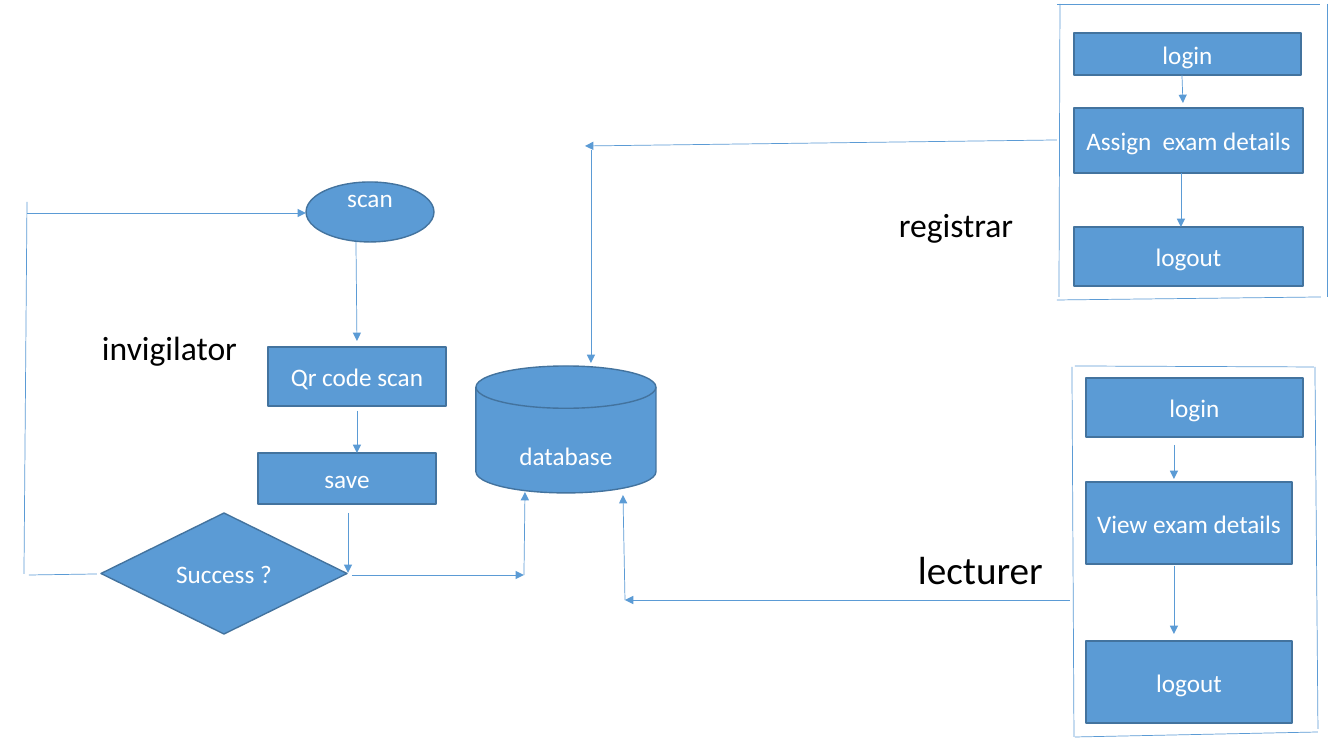
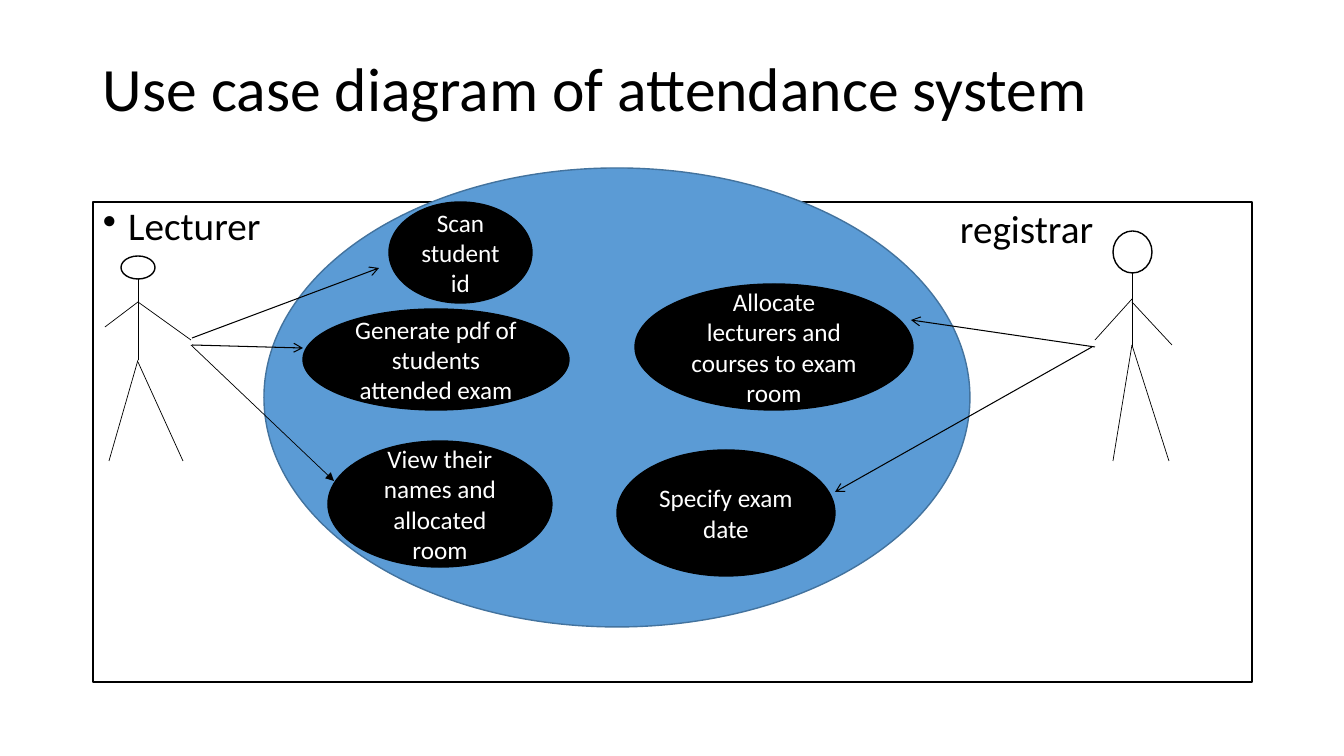
from dataclasses import dataclass

from pptx import Presentation, util as u
from pptx.dml.color import RGBColor
from pptx.enum import shapes, text
from pptx.oxml.xmlchemy import OxmlElement

SHAPE = shapes.MSO_SHAPE
ANCHOR = text.MSO_ANCHOR
ALIGN = text.PP_ALIGN


@dataclass(frozen=True)
class Theme:
    """Colours, font, type sizes and line widths, in points."""
    font: str = "Calibri"
    blue: str = "5B9BD5"
    edge: str = "43739E"
    black: str = "000000"
    white: str = "FFFFFF"
    title: int = 44
    large: int = 28
    medium: int = 24
    body: int = 18
    thin: float = 0.5
    normal: float = 0.75
    outline: float = 1


T = Theme()
SLIDE_SIZE = (1344, 756)
EMU_PER_PX = 914400 / 100.8
INSET = (10, 5, 10, 5)

# Slide 1: kind, box (left, top, width, height), words, insets
FLOW_NODES = [
    (SHAPE.OVAL, (306, 182, 128, 60), "scan", (10, 0, 10, 30)),
    (SHAPE.RECTANGLE, (268, 347, 178, 59), "Qr code scan", INSET),
    (SHAPE.RECTANGLE, (258, 453, 178, 51), "save", INSET),
    (SHAPE.DIAMOND, (101, 513, 246, 121), "Success ?", INSET),
    (SHAPE.FLOWCHART_MAGNETIC_DISK, (476, 366, 180, 127), "database",
     (10, 35, 10, 5)),
    (SHAPE.RECTANGLE, (1074, 33, 227, 42), "login", INSET),
    (SHAPE.RECTANGLE, (1074, 108, 229, 65), "Assign  exam details", INSET),
    (SHAPE.RECTANGLE, (1074, 227, 229, 59), "logout", INSET),
    (SHAPE.RECTANGLE, (1086, 378, 217, 59), "login", INSET),
    (SHAPE.RECTANGLE, (1086, 482, 206, 82), "View exam details", INSET),
    (SHAPE.RECTANGLE, (1086, 641, 206, 82), "logout", INSET),
]
# words, left, middle, size
FLOW_LABELS = [
    ("registrar", 899, 224, T.medium),
    ("invigilator", 102, 347, T.medium),
    ("lecturer", 918, 569, T.large),
]
# x1, y1, x2, y2
FLOW_ARROWS = [
    (356, 242, 357, 341), (357, 411, 357, 453), (348, 513, 348, 573),
    (27, 213, 306, 213), (352, 575, 524, 575), (524, 575, 525, 492),
    (1182, 75, 1183, 103), (1181, 173, 1181, 227),
    (1174, 445, 1174, 479), (1174, 566, 1174, 634),
    (1070, 600, 625, 600), (625, 600, 623, 495),
    (1057, 140, 585, 146), (591, 150, 591, 363),
]
RETRY_LINES = [(97, 574, 29, 575), (24, 574, 27, 202)]
REGISTRAR_FRAME = [
    (1057, 300, 1321, 297), (1320, 4, 1057, 4),
    (1327, 4, 1327, 297), (1060, 4, 1059, 297),
]
LECTURER_FRAME = [
    (1074, 737, 1072, 367), (1075, 737, 1318, 732),
    (1318, 729, 1315, 367), (1314, 367, 1075, 366),
]

# Slide 2
USE_CASE_TITLE = "Use case diagram of attendance system"
TITLE_BOX = (93, 40, 1159, 103)
PANEL_BOX = (93, 202, 1159, 480)
SYSTEM_BOX = (264, 168, 706, 459)
USE_CASES = [
    ("Scan student id", (389, 202, 143, 101)),
    ("Generate pdf of students attended exam", (303, 309, 266, 101)),
    ("Allocate lecturers and courses to exam room", (635, 284, 278, 126)),
    ("Specify exam date", (617, 450, 218, 126)),
    ("View their names and allocated room", (328, 441, 224, 126)),
]
# head box, body and limb lines
ACTORS = [
    ((121, 256, 34, 23), [
        (138, 279, 138, 360), (138, 302, 191, 340), (138, 302, 105, 327),
        (138, 362, 183, 461), (109, 461, 138, 360)]),
    ((1113, 231, 39, 42), [
        (1132, 273, 1132, 347), (1132, 302, 1172, 345),
        (1132, 299, 1095, 340), (1132, 345, 1169, 461),
        (1113, 461, 1132, 345)]),
]
# line, arrowhead, width
USE_ARROWS = [
    ((192, 338, 379, 268), "arrow", T.normal),
    ((192, 345, 303, 348), "arrow", T.normal),
    ((191, 345, 334, 481), "triangle", T.thin),
    ((1095, 347, 911, 320), "arrow", T.normal),
    ((1092, 347, 835, 492), "arrow", T.normal),
]


def px(*values):
    """Turn pixels into a list of EMU lengths."""
    return [u.Emu(round(v * EMU_PER_PX)) for v in values]


def rgb(value):
    """Turn a hex string into a colour."""
    return RGBColor.from_string(value)


def write(tf, words, size=T.body, color=T.white, align=ALIGN.CENTER,
          anchor=ANCHOR.MIDDLE, inset=INSET, wrap=True, spacing=None):
    """Put one formatted paragraph in a text frame and return it."""
    tf.word_wrap = wrap
    tf.auto_size = text.MSO_AUTO_SIZE.NONE
    tf.vertical_anchor = anchor
    (tf.margin_left, tf.margin_top,
     tf.margin_right, tf.margin_bottom) = px(*inset)
    p = tf.paragraphs[0]
    p.alignment = align
    if spacing:
        p.line_spacing = spacing
    r = p.add_run()
    r.text = words
    r.font.name, r.font.size = T.font, u.Pt(size)
    r.font.color.rgb = rgb(color)
    return p


def add_node(s, kind, box, fill=T.blue, line=T.edge):
    """Add a filled, outlined shape."""
    sp = s.shapes.add_shape(kind, *px(*box))
    sp.shadow.inherit = False
    sp.fill.solid()
    sp.fill.fore_color.rgb = rgb(fill)
    sp.line.color.rgb = rgb(line)
    sp.line.width = u.Pt(T.outline)
    return sp


def add_line(s, ends, color=T.blue, width=T.thin, head=None):
    """Add a straight connector, with an arrowhead at its end if named."""
    c = s.shapes.add_connector(shapes.MSO_CONNECTOR.STRAIGHT, *px(*ends))
    c.line.color.rgb = rgb(color)
    c.line.width = u.Pt(width)
    if head:
        tail = OxmlElement("a:tailEnd")
        tail.set("type", head)
        c.line._get_or_add_ln().append(tail)
    c._element.spPr.append(OxmlElement("a:effectLst"))


def add_label(s, words, left, middle, size):
    """Add a free label, centred vertically on a given height."""
    height = 44
    sp = s.shapes.add_textbox(*px(left, middle - height / 2, 160, height))
    write(sp.text_frame, words, size=size, color=T.black, align=ALIGN.LEFT,
          inset=(0, 0, 0, 0))


def add_bullet(p, indent):
    """Give a paragraph a round bullet and a hanging indent."""
    pPr = p._p.get_or_add_pPr()
    pPr.set("marL", str(indent))
    pPr.set("indent", str(-indent))
    bullet = OxmlElement("a:buChar")
    bullet.set("char", "•")
    pPr.append(bullet)


def build_flow(prs):
    """Build the flow chart of the three roles and the database."""
    s = prs.slides.add_slide(prs.slide_layouts[6])
    for kind, box, words, inset in FLOW_NODES:
        write(add_node(s, kind, box).text_frame, words, inset=inset)
    for label in FLOW_LABELS:
        add_label(s, *label)
    for ends in FLOW_ARROWS:
        add_line(s, ends, head="triangle")
    for ends in RETRY_LINES + REGISTRAR_FRAME + LECTURER_FRAME:
        add_line(s, ends)


def build_use_cases(prs):
    """Build the use case diagram with its two actors."""
    s = prs.slides.add_slide(prs.slide_layouts[5])
    title = s.shapes.title
    title.left, title.top, title.width, title.height = px(*TITLE_BOX)
    write(title.text_frame, USE_CASE_TITLE, size=T.title, color=T.black,
          align=ALIGN.LEFT, spacing=0.9)

    panel = add_node(s, SHAPE.RECTANGLE, PANEL_BOX, T.white, T.black)
    p = write(panel.text_frame, "Lecturer", size=T.large, color=T.black,
              align=ALIGN.LEFT, anchor=ANCHOR.TOP, spacing=0.9)
    add_bullet(p, u.Inches(0.25))
    add_label(s, "registrar", 960, 228, T.large)

    add_node(s, SHAPE.OVAL, SYSTEM_BOX)
    for words, box in USE_CASES:
        sp = add_node(s, SHAPE.OVAL, box, T.black, T.black)
        write(sp.text_frame, words)
    for head_box, limbs in ACTORS:
        add_node(s, SHAPE.OVAL, head_box, T.white, T.black)
        for ends in limbs:
            add_line(s, ends, T.black)
    for ends, head, width in USE_ARROWS:
        add_line(s, ends, T.black, width, head)


def main():
    """Build both slides and save them."""
    prs = Presentation()
    prs.slide_width, prs.slide_height = px(*SLIDE_SIZE)
    build_flow(prs)
    build_use_cases(prs)
    prs.save("out.pptx")


main()
